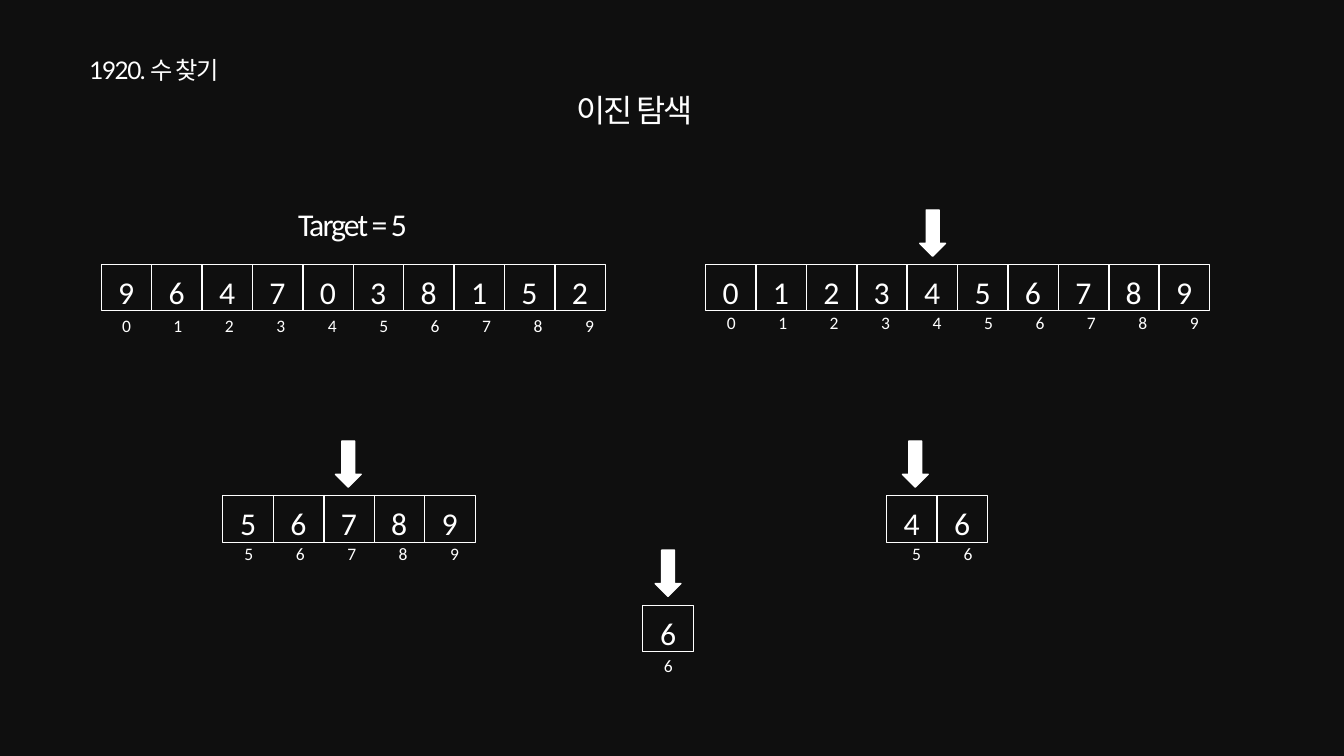
from pptx import Presentation
from pptx.dml.color import RGBColor
from pptx.enum.shapes import MSO_SHAPE
from pptx.enum.text import MSO_ANCHOR, MSO_AUTO_SIZE, PP_ALIGN
from pptx.oxml.ns import qn
from pptx.util import Pt
from lxml import etree

RECT, DOWN_ARROW = MSO_SHAPE.RECTANGLE, MSO_SHAPE.DOWN_ARROW
TOP, NO_FIT = MSO_ANCHOR.TOP, MSO_AUTO_SIZE.NONE
LEFT, CENTER = PP_ALIGN.LEFT, PP_ALIGN.CENTER

PX = 9525  # 96 px to the inch
COLORS = {"background": "0F0F0F", "ink": "FFFFFF"}
INK = RGBColor.from_string(COLORS["ink"])

CELL_PITCH, CELL_W, CELL_H = 96, 97, 88
INDEX_PITCH, INDEX_H = 98, 84
ARROW_W, ARROW_H, ARROW_RISE = 49, 88, 104

prs = Presentation()
prs.slide_width, prs.slide_height = 2560 * PX, 1440 * PX
s = prs.slides.add_slide(prs.slide_layouts[5])
s.background.fill.solid()
s.background.fill.fore_color.rgb = RGBColor.from_string(COLORS["background"])


def write(sp, *parts, size=45.3, spacing=-2.7, align=CENTER, tabs=()):
    """Fill a shape with one paragraph; each part is (text, font name)."""
    tf = sp.text_frame
    tf.word_wrap = True
    tf.auto_size = NO_FIT
    tf.vertical_anchor = TOP
    p = tf.paragraphs[0]
    p.alignment = align
    p.line_spacing = 1.16
    if tabs:
        tab_list = etree.SubElement(p._p.get_or_add_pPr(), qn("a:tabLst"))
        for pos in tabs:
            etree.SubElement(tab_list, qn("a:tab"), pos=str(pos * PX), algn="l")
    for text, font in parts:
        r = p.add_run()
        r.text = text
        r.font.name = font
        r.font.size = Pt(size)
        r.font.color.rgb = INK
        r._r.get_or_add_rPr().set("spc", str(round(spacing * 100)))


def add_box(x, y, w, h, shape=None):
    """Add a text box, or an outlined preset shape when one is given."""
    box = [v * PX for v in (x, y, w, h)]
    if shape is None:
        return s.shapes.add_textbox(*box)
    sp = s.shapes.add_shape(shape, *box)
    sp.shadow.inherit = False
    sp.fill.background()
    sp.line.color.rgb = INK
    sp.line.width = Pt(0.75)
    return sp


title = s.shapes.title
title.left, title.top, title.width, title.height = 1061 * PX, 156 * PX, 305 * PX, 84 * PX
write(title, ("이진 탐색 ", "Calibri"))

write(add_box(161, 92, 1919, 65), ("1920. ", "Lato"), ("수 찾기", "Calibri"),
      size=34.7, spacing=-2.1, align=LEFT)
write(add_box(192, 374, 959, 84), ("Target = 5", "Calibri"))

# x, y, cell values, indexes, index label x and drop, arrow x
arrays = [
    (192, 504, "9647038152", "0123456789", 223, 84, None),
    (1343, 504, "0123456789", "0123456789", 1375, 80, 1752),
    (424, 944, "56789", "56789", 456, 80, 639),
    (1688, 944, "46", "56", 1728, 80, 1719),
    (1224, 1152, "6", "6", 1255, 84, 1248),
]
for x, y, values, indexes, index_x, index_drop, arrow_x in arrays:
    for i, value in enumerate(values):
        cell = add_box(x + i * CELL_PITCH, y, CELL_W, CELL_H, RECT)
        write(cell, (value, "Calibri"))

    count = len(indexes)
    labels = add_box(index_x, y + index_drop, count * INDEX_PITCH, INDEX_H)
    write(labels, ("\t".join(indexes), "Calibri"), size=25, align=LEFT,
          tabs=[i * INDEX_PITCH for i in range(1, count)])

    if arrow_x is not None:
        arrow = add_box(arrow_x, y - ARROW_RISE, ARROW_W, ARROW_H, DOWN_ARROW)
        arrow.fill.solid()
        arrow.fill.fore_color.rgb = INK
        arrow.line.width = Pt(2)

prs.save("out.pptx")
